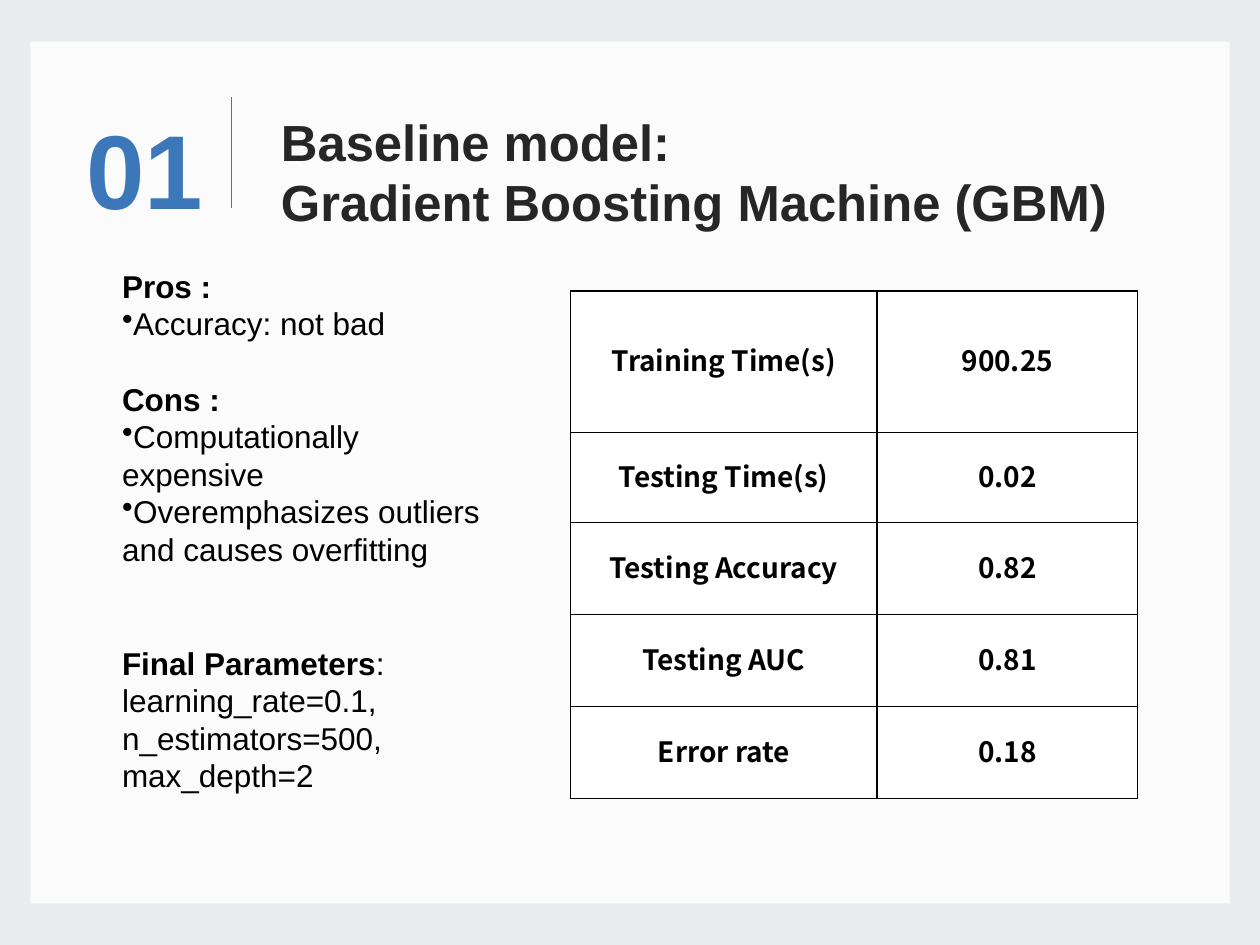
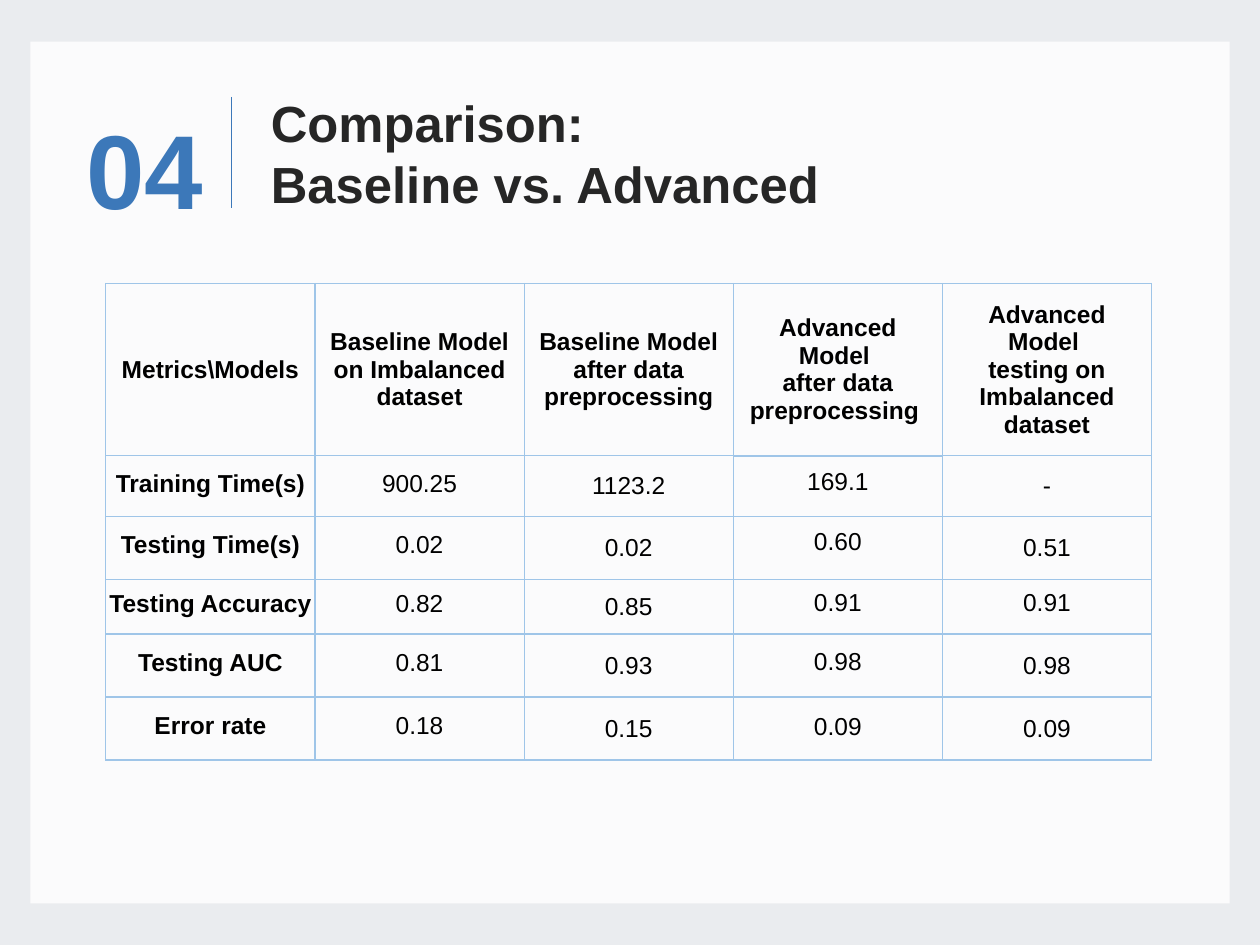
from lxml import etree
from pptx import Presentation
from pptx.dml.color import RGBColor
from pptx.enum import shapes, text
from pptx.oxml import parse_xml
from pptx.oxml.ns import nsdecls, qn
from pptx.util import Inches, Pt

COLOURS = {"backdrop": "EAECEF", "panel": "FBFBFC", "accent": "3C78B9", "title": "262626",
           "body": "000000", "cell": "FFFFFF", "grid": "9FC5E8"}
FORMATS = {
    "number": {"size": Pt(60), "bold": True, "name": "Arial"},
    "title": {"size": Pt(29), "bold": True, "name": "Arial"},
    "body": {"size": Pt(18), "bold": False, "name": "Arial"},
    "heading": {"size": Pt(18), "bold": True, "name": "Arial"},
    "result": {"size": Pt(16), "bold": True, "name": "Noto Sans CJK SC"},
    "label": {"size": Pt(14), "bold": True, "name": "Arial"},
    "value": {"size": Pt(14), "bold": False, "name": "Arial"},
}
TITLE_LEADING, BODY_LEADING = Pt(34.5), Pt(21.5)
METRICS = ["Training Time(s)", "Testing Time(s)", "Testing Accuracy", "Testing AUC", "Error rate"]
BASELINE = ["900.25", "0.02", "0.82", "0.81", "0.18"]


def write(frame, lines, insets, colour="body", anchor="MIDDLE", align="LEFT", leading=None):
    """Fill a frame or table cell; each line is a list of (wording, format name) spans."""
    sides = ("margin_left", "margin_top", "margin_right", "margin_bottom")
    for side, inset in zip(sides, insets):
        setattr(frame, side, Inches(inset))
    frame.vertical_anchor = getattr(text.MSO_ANCHOR, anchor)
    body = getattr(frame, "text_frame", frame)
    body.word_wrap = True
    for index, spans in enumerate(lines):
        para = body.paragraphs[0] if index == 0 else body.add_paragraph()
        para.alignment = getattr(text.PP_ALIGN, align)
        if leading:
            para.line_spacing = leading
        for wording, style in spans:
            span = para.add_run()
            span.text = wording
            span.font.color.rgb = RGBColor.from_string(COLOURS[colour])
            for name, value in FORMATS[style].items():
                setattr(span.font, name, value)
    return body


def add_grid(page, left, top, widths, heights):
    """Add a table without style bands, with the given column widths and row heights."""
    table = page.shapes.add_table(len(heights), len(widths), Inches(left), Inches(top),
                                  Inches(sum(widths)), Inches(sum(heights))).table
    table.first_row = table.horz_banding = False
    for column, width in zip(table.columns, widths):
        column.width = Inches(width)
    for row, height in zip(table.rows, heights):
        row.height = Inches(height)
    return table


deck = Presentation()
deck.slide_width, deck.slide_height = Inches(10), Inches(7.5)

# Shared frame: backdrop, panel, rule, section number and title
headers = [
    ("01", ["Baseline model:", "Gradient Boosting Machine (GBM)"], (2.23, 0.8, 7.43, 1.12)),
    ("04", ["Comparison:", "Baseline vs. Advanced"], (2.15, 0.59, 4.77, 1.25)),
]
pages = []
for number, title, place in headers:
    page = deck.slides.add_slide(deck.slide_layouts[6])
    pages.append(page)
    page.background.fill.solid()
    page.background.fill.fore_color.rgb = RGBColor.from_string(COLOURS["backdrop"])

    panel = page.shapes.add_shape(shapes.MSO_SHAPE.RECTANGLE, Inches(0.24), Inches(0.33),
                                  Inches(9.52), Inches(6.84))
    panel.shadow.inherit = False
    panel.fill.solid()
    panel.fill.fore_color.rgb = RGBColor.from_string(COLOURS["panel"])
    panel.line.fill.background()

    rule = page.shapes.add_connector(shapes.MSO_CONNECTOR.STRAIGHT, Inches(1.84), Inches(0.77),
                                     Inches(1.84), Inches(1.65))
    rule.line.color.rgb = RGBColor.from_string(COLOURS["accent"])
    rule.line.width = Pt(0.75)
    etree.SubElement(rule._element.spPr, qn("a:effectLst"))

    box = page.shapes.add_textbox(Inches(0.46), Inches(0.77), Inches(1.38), Inches(1.12))
    write(box.text_frame, [[(number, "number")]], (0.07, 0, 0.07, 0), "accent", align="CENTER")
    box = page.shapes.add_textbox(*map(Inches, place))
    write(box.text_frame, [[(line, "title")] for line in title], (0, 0, 0, 0), "title",
          leading=TITLE_LEADING)

baseline_page, comparison_page = pages

# Pros, cons and parameters of the baseline model
notes = [
    (2.07, 2.83, [
        [("Pros :", "heading")],
        [("Accuracy: not bad", "body")],
        [("Cons :", "heading")],
        [("Computationally expensive", "body")],
        [("Overemphasizes outliers and causes overfitting", "body")],
    ]),
    (5.06, 1.92, [
        [("Final Parameters", "heading"),
         (": learning_rate=0.1, n_estimators=500, max_depth=2", "body")],
    ]),
]
for top, height, lines in notes:
    box = baseline_page.shapes.add_textbox(Inches(0.87), Inches(top), Inches(3.22), Inches(height))
    body = write(box.text_frame, lines, (0.1, 0.05, 0.1, 0.05), anchor="TOP",
                 leading=BODY_LEADING)
    for index, (para, spans) in enumerate(zip(body.paragraphs, lines)):
        if spans[0][1] == "body":
            props = para._p.get_or_add_pPr()
            props.set("marL", "0")
            props.set("indent", str(-Inches(0.12)))
            etree.SubElement(props, qn("a:buChar")).set("char", "•")
        elif index > 0:
            para.space_before = BODY_LEADING

# Each table cell: wording, format, insets, fill, line spacing and border widths
TIGHT, ROOMY = (0.01, 0.01, 0.01, 0.05), (0.1, 0.1, 0.1, 0.1)
cells = []

results = add_grid(baseline_page, 4.53, 2.31, [2.43, 2.07], [1.12, 0.72, 0.73, 0.73, 0.73])
for row, pair in enumerate(zip(METRICS, BASELINE)):
    for column, wording in enumerate(pair):
        cells.append((results.cell(row, column), wording, "result", TIGHT, "cell", None, "body",
                      dict.fromkeys("LRTB", 0.75)))

models = ["Metrics\\Models", "Baseline Model on Imbalanced dataset",
          "Baseline Model\nafter data preprocessing",
          "Advanced Model \nafter data preprocessing ",
          "Advanced Model \ntesting on Imbalanced dataset"]
scores = [
    METRICS,
    BASELINE,
    ["1123.2", "0.02", "0.85", "0.93", "0.15"],
    ["169.1", "0.60", "0.91", "0.98", "0.09"],
    ["-", "0.51", "0.91", "0.98", "0.09"],
]
comparison = add_grid(comparison_page, 0.84, 2.25, [1.66] * 5, [1.29, 0.48, 0.5, 0.43, 0.5, 0.5])
column_insets = [TIGHT, TIGHT, ROOMY, (0.01, 0.01, 0.01, 0.07), ROOMY]
special_insets = {(2, 3): (0.01, 0.01, 0.01, 0.1), (3, 4): (0.01, 0.01, 0.01, 0.1)}
for row, wordings in enumerate([models, *zip(*scores)]):
    for column, wording in enumerate(wordings):
        strong = row in (1, 3, 4, 5)
        thick = {"L": strong and column in (3, 4), "R": strong and column in (2, 3),
                 "T": strong and column == 3, "B": row != 1 and column == 3}
        insets = ROOMY if row == 0 else special_insets.get((row, column), column_insets[column])
        cells.append((comparison.cell(row, column), wording,
                      "label" if row == 0 or column == 0 else "value", insets, None,
                      1.15 if (row, column) in [(3, 4), (5, 3)] else None, "grid",
                      {side: 1 if heavy else 0.75 for side, heavy in thick.items()}))

for cell, wording, style, insets, fill, leading, border, widths in cells:
    write(cell, [[(line, style)] for line in wording.split("\n")], insets, align="CENTER",
          leading=leading)
    for side, width in widths.items():
        cell._tc.get_or_add_tcPr().append(parse_xml(
            f'<a:ln{side} {nsdecls("a")} w="{Pt(width)}"><a:solidFill>'
            f'<a:srgbClr val="{COLOURS[border]}"/></a:solidFill></a:ln{side}>'))
    if fill:
        cell.fill.solid()
        cell.fill.fore_color.rgb = RGBColor.from_string(COLOURS[fill])
    else:
        cell.fill.background()

deck.save("out.pptx")
